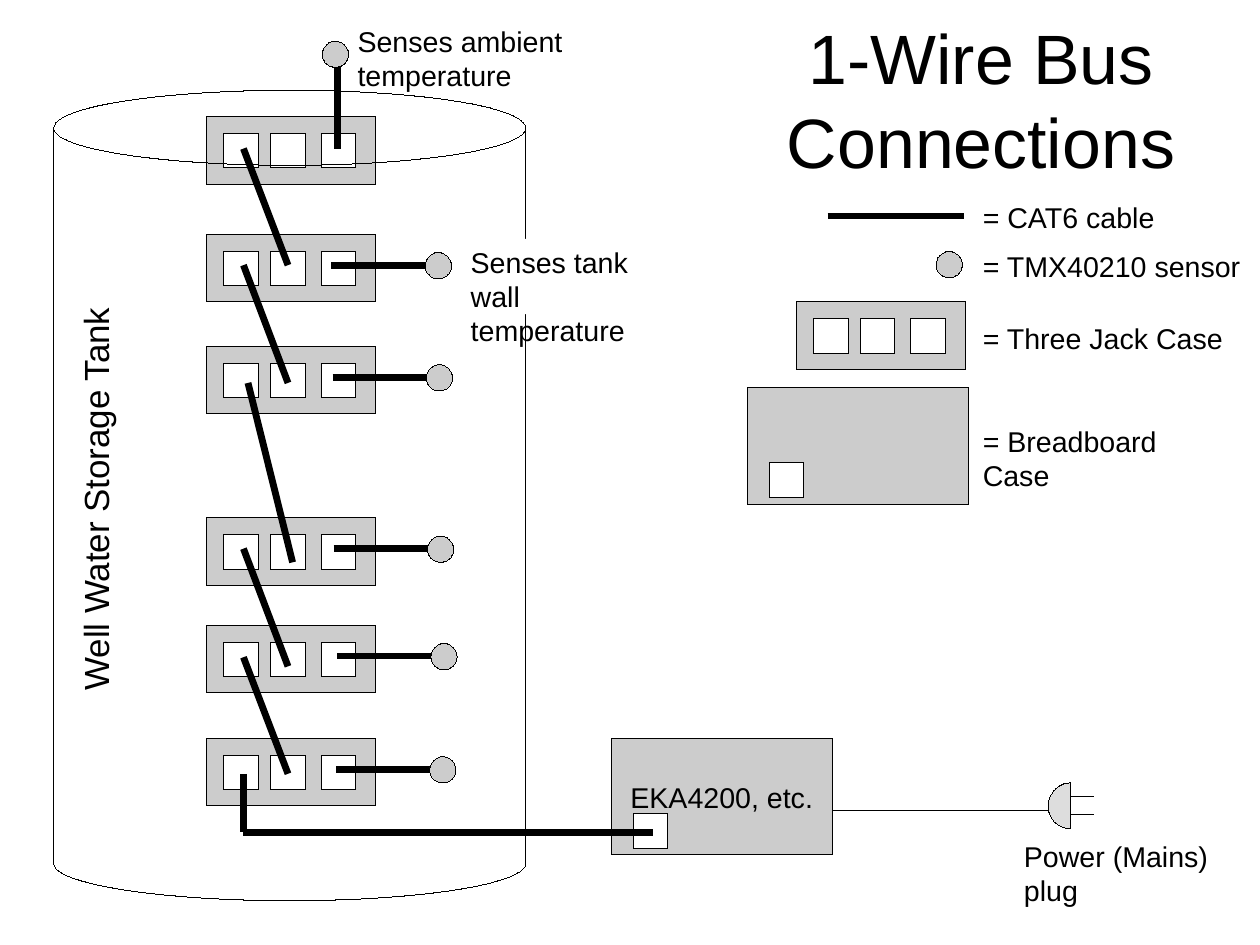
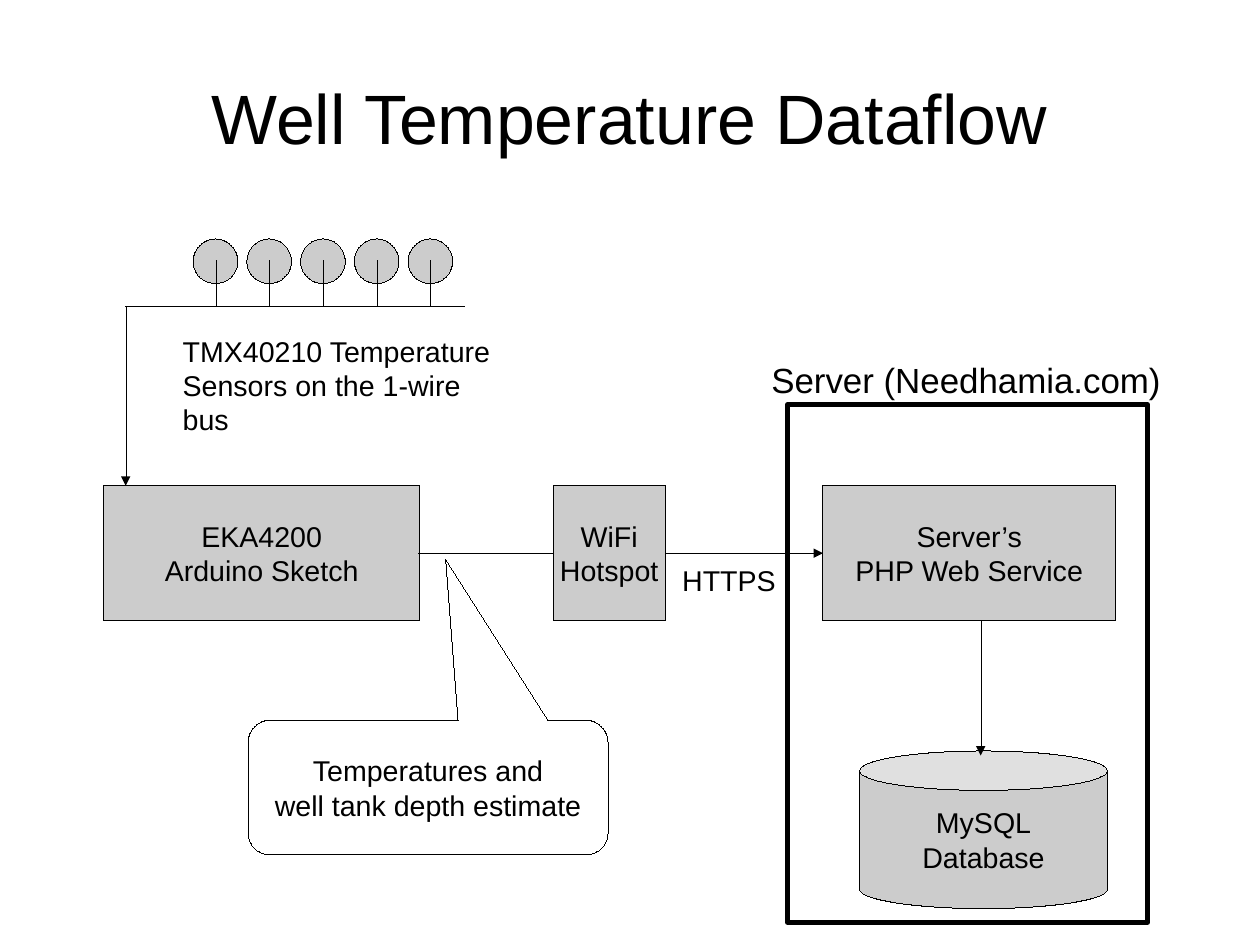
import math
from dataclasses import dataclass

import pptx
import pptx.dml.color
import pptx.enum.shapes
import pptx.enum.text
import pptx.oxml
import pptx.oxml.ns
import pptx.util

Inches = pptx.util.Inches
Kind = pptx.enum.shapes.MSO_SHAPE
Align = pptx.enum.text.PP_ALIGN
Anchor = pptx.enum.text.MSO_ANCHOR
Fit = pptx.enum.text.MSO_AUTO_SIZE


@dataclass(frozen=True)
class Theme:
    font: str = "Arial"
    ink: str = "000000"
    gray: str = "CCCCCC"
    pale: str = "DDDDDD"
    white: str = "FFFFFF"
    title: int = 44
    large: int = 22
    body: int = 18
    hair: float = 0
    frame: float = 2.89
    cable: float = 4.31


THEME = Theme()
JACK = 0.3
CASE_X = 1.81


def color(code):
    return pptx.dml.color.RGBColor.from_string(code)


def write(frame, words, size, align):
    frame.text = words
    for para in frame.paragraphs:
        para.alignment = align
        para.font.name = THEME.font
        para.font.size = pptx.util.Pt(size)
        para.font.color.rgb = color(THEME.ink)


def stroke(shape, width):
    shape.line.color.rgb = color(THEME.ink)
    shape.line.width = pptx.util.Pt(width)
    style = shape._element.find(pptx.oxml.ns.qn("p:style"))
    if style is not None:
        shape._element.remove(style)


def paint(shape, fill, width):
    shape.shadow.inherit = False
    if fill:
        shape.fill.solid()
        shape.fill.fore_color.rgb = color(fill)
    else:
        shape.fill.background()
    stroke(shape, width)


def draw(shapes, kind, x, y, w, h, fill=None, words="", width=THEME.hair, adjust=()):
    shape = shapes.add_shape(kind, Inches(x), Inches(y), Inches(w), Inches(h))
    paint(shape, fill, width)
    for spot, value in enumerate(adjust):
        shape.adjustments[spot] = value
    if words:
        frame = shape.text_frame
        frame.word_wrap = False
        frame.vertical_anchor = Anchor.MIDDLE
        write(frame, words, THEME.body, Align.CENTER)


def label(shapes, words, x, y, w, h, size=THEME.body):
    box = shapes.add_textbox(Inches(x), Inches(y), Inches(w), Inches(h))
    frame = box.text_frame
    frame.word_wrap = False
    frame.auto_size = Fit.SHAPE_TO_FIT_TEXT
    write(frame, words, size, Align.LEFT)
    return box


def title(shapes, words, x, y, w):
    box = shapes.add_textbox(Inches(x), Inches(y), Inches(w), Inches(1.38))
    frame = box.text_frame
    frame.word_wrap = True
    frame.vertical_anchor = Anchor.MIDDLE
    frame.margin_left = frame.margin_right = 0
    frame.margin_top = frame.margin_bottom = 0
    write(frame, words, THEME.title, Align.CENTER)


def line(shapes, x1, y1, x2, y2, width=THEME.hair, arrow=False):
    link = shapes.add_connector(
        pptx.enum.shapes.MSO_CONNECTOR.STRAIGHT,
        Inches(x1), Inches(y1), Inches(x2), Inches(y2))
    stroke(link, width)
    space = pptx.oxml.ns.nsdecls("a")
    if arrow:
        tip = pptx.oxml.parse_xml(f'<a:tailEnd {space} type="triangle"/>')
        link.line._get_or_add_ln().append(tip)
    link._element.spPr.append(pptx.oxml.parse_xml(f"<a:effectLst {space}/>"))


def cable(shapes, x1, y1, x2, y2):
    line(shapes, x1, y1, x2, y2, THEME.cable)


def jack(shapes, x, y):
    draw(shapes, Kind.RECTANGLE, x, y, JACK, JACK, THEME.white)


def case(shapes, x, y):
    group = shapes.add_group_shape().shapes
    draw(group, Kind.RECTANGLE, x, y, 1.48, 0.59, THEME.gray)
    for shift in (0.15, 0.56, 1.0):
        jack(group, x + shift, y + 0.15)


def board(shapes, x, y, words=""):
    draw(shapes, Kind.RECTANGLE, x, y, 1.93, 1.02, THEME.gray, words)
    jack(shapes, x + 0.19, y + 0.66)


def sensor(shapes, x, y, size=0.23):
    draw(shapes, Kind.OVAL, x, y, size, size, THEME.gray)


def plug(shapes, x, y, radius):
    turns = [math.radians(90 + 6 * step) for step in range(31)]
    points = [(Inches(x + radius * math.cos(turn)), Inches(y + radius * math.sin(turn)))
              for turn in turns]
    path = shapes.build_freeform(*points[0])
    path.add_line_segments(points[1:], close=True)
    paint(path.convert_to_shape(), THEME.pale, THEME.hair)
    for prong in (-0.08, 0.08):
        line(shapes, x, y + prong, x + 0.2, y + prong)


def tank(shapes):
    tops = (1.02, 2.05, 3.03, 4.53, 5.47, 6.46)
    for top in tops:
        case(shapes, CASE_X, top)
    board(shapes, 5.35, 6.46, "EKA4200, etc.")
    links = (
        (2.13, 6.77, 2.13, 7.28), (5.71, 7.28, 2.13, 7.28),
        (2.52, 2.32, 2.13, 1.3), (2.52, 3.35, 2.13, 2.32),
        (2.17, 3.35, 2.56, 4.92), (2.52, 5.83, 2.13, 4.8),
        (2.52, 6.77, 2.13, 5.75), (2.95, 1.3, 2.95, 0.51),
    )
    for ends in links:
        cable(shapes, *ends)
    sensor(shapes, 2.82, 0.36)
    draw(shapes, Kind.CAN, 0.47, 0.79, 4.13, 7.09, adjust=(0.159,))
    for top, start in zip(tops[1:], (2.9, 2.91, 2.92, 2.95, 2.94)):
        cable(shapes, start, top + 0.27, start + 0.98, top + 0.27)
        sensor(shapes, start + 0.82, top + 0.16)


def legend(shapes):
    cable(shapes, 7.24, 1.89, 8.43, 1.89)
    sensor(shapes, 8.19, 2.2)
    case(shapes, 6.97, 2.64)
    board(shapes, 6.54, 3.39)
    rows = (("= CAT6 cable", 1.7, 1.7), ("= TMX40210 sensor", 2.13, 2.47),
            ("= Three Jack Case", 2.76, 2.3), ("= Breadboard Case", 3.66, 2.37))
    for words, y, w in rows:
        label(shapes, words, 8.5, y, w, 0.38)


def wiring(shapes):
    line(shapes, 7.28, 7.09, 9.25, 7.09)
    title(shapes, "1-Wire Bus\vConnections", 6.3, 0.17, 4.57)
    tank(shapes)
    plug(shapes, 9.37, 7.05, 0.2)
    legend(shapes)
    label(shapes, "Power (Mains)\nplug", 8.86, 7.29, 1.81, 0.66)
    label(shapes, "Senses ambient\ntemperature", 3.03, 0.16, 1.99, 0.66)
    name = label(shapes, "Well Water Storage Tank", -0.96, 4.14, 3.56, 0.44, THEME.large)
    name.rotation = 270
    wall = label(shapes, "Senses tank wall\ntemperature", 4.02, 2.09, 2.07, 0.66)
    wall.fill.solid()
    wall.fill.fore_color.rgb = color(THEME.white)


def sensors(shapes):
    spots = [1.69 + 0.47 * step for step in range(5)]
    for x in spots:
        sensor(shapes, x, 2.09, 0.39)
    line(shapes, 1.1, 2.68, 4.06, 2.68)
    for x in spots:
        line(shapes, x + 0.2, 2.28, x + 0.2, 2.68)
    label(shapes, "TMX40210 Temperature\nSensors on the 1-wire bus", 1.5, 2.87, 3.1, 0.66)


def flow(shapes):
    title(shapes, "Well Temperature Dataflow", 0.55, 0.33, 9.92)
    sensors(shapes)
    steps = (("EKA4200\nArduino Sketch", 0.91, 2.76), ("WiFi\nHotspot", 4.84, 0.98),
             ("Server’s\nPHP Web Service", 7.2, 2.56))
    for words, x, w in steps:
        draw(shapes, Kind.RECTANGLE, x, 4.25, w, 1.18, THEME.gray, words)
    draw(shapes, Kind.CAN, 7.52, 6.57, 2.17, 1.38, THEME.gray, "MySQL\nDatabase",
         adjust=(0.25,))
    line(shapes, 3.66, 4.84, 4.84, 4.84)
    for ends in ((1.1, 2.68, 1.1, 4.25), (5.83, 4.84, 7.2, 4.84), (8.58, 5.43, 8.58, 6.61)):
        line(shapes, *ends, arrow=True)
    label(shapes, "HTTPS", 5.87, 4.88, 1.02, 0.38)
    draw(shapes, Kind.RECTANGLE, 6.89, 3.54, 3.15, 4.53, width=THEME.frame)
    label(shapes, "Server (Needhamia.com)", 6.65, 3.09, 3.61, 0.44, THEME.large)
    draw(shapes, Kind.ROUNDED_RECTANGULAR_CALLOUT, 2.17, 6.3, 3.15, 1.18,
         words="Temperatures and\nwell tank depth estimate", adjust=(0.049, -1.692, 0.167))


def main():
    deck = pptx.Presentation()
    deck.slide_width = pptx.util.Cm(28)
    deck.slide_height = pptx.util.Cm(21)
    for build in (wiring, flow):
        build(deck.slides.add_slide(deck.slide_layouts[6]).shapes)
    deck.save("out.pptx")


if __name__ == "__main__":
    main()
